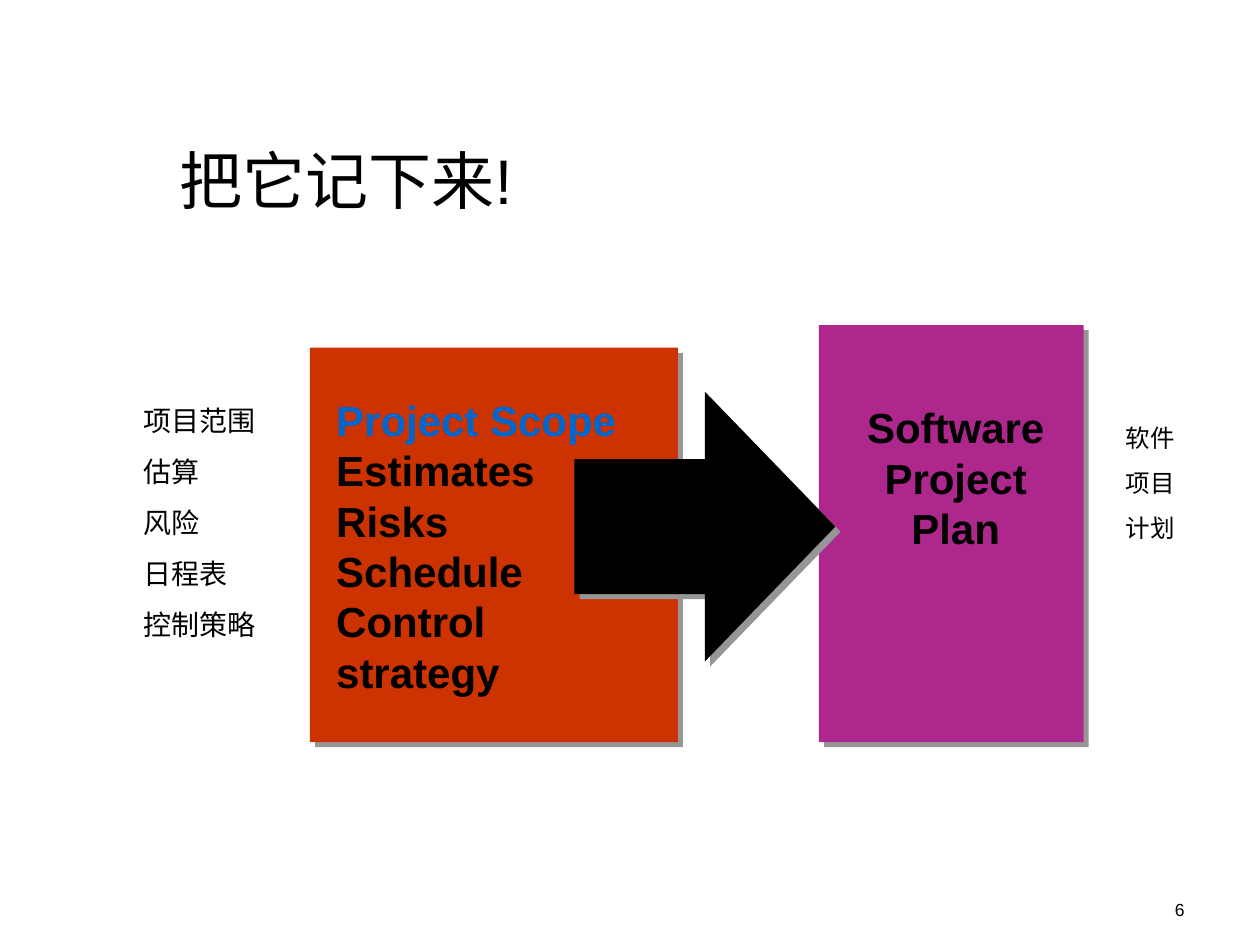
from dataclasses import dataclass

from lxml.etree import SubElement
from pptx import Presentation
from pptx.dml.color import RGBColor
from pptx.enum.shapes import MSO_SHAPE as Preset
from pptx.enum.text import MSO_ANCHOR as Anchor, MSO_AUTO_SIZE as AutoSize, PP_ALIGN as Align
from pptx.oxml.ns import qn
from pptx.util import Inches, Pt

BLACK = RGBColor(0x00, 0x00, 0x00)
BLUE = RGBColor(0x00, 0x66, 0xCC)
RED = RGBColor(0xCC, 0x33, 0x00)
PURPLE = RGBColor(0xAD, 0x27, 0x8D)
GREY = RGBColor(0x96, 0x96, 0x96)

WIDTH, HEIGHT = Inches(10), Inches(7.5)
COLUMNS, ROWS = 100, 75
SHADOW_DISTANCE = Pt(4.2)
SHADOW_ANGLE = 45 * 60000


@dataclass(frozen=True)
class Area:
    """A rectangle in columns and rows of the slide grid."""
    column: float
    row: float
    columns: float
    rows: float

    def lengths(self) -> tuple[int, int, int, int]:
        """Return left, top, width and height."""
        across, down = WIDTH / COLUMNS, HEIGHT / ROWS
        return (round(self.column * across), round(self.row * down),
                round(self.columns * across), round(self.rows * down))


@dataclass(frozen=True)
class Block:
    """A filled shape with a hard shadow."""
    area: Area
    color: RGBColor
    preset: Preset = Preset.RECTANGLE


@dataclass(frozen=True)
class Label:
    """A text box with one paragraph per line."""
    area: Area
    lines: tuple[str, ...]
    size: float
    align: Align = Align.LEFT
    bold: bool = False
    first_color: RGBColor = BLACK
    gap: float = 0
    padded: bool = True
    wrap: bool = True
    anchor: Anchor = Anchor.TOP
    fit: AutoSize = AutoSize.SHAPE_TO_FIT_TEXT


SCOPE_LINES = ("Project Scope", "Estimates", "Risks", "Schedule", "Control strategy")
SCOPE_LINES_CHINESE = ("项目范围", "估算", "风险", "日程表", "控制策略")
FIXED = {"anchor": Anchor.BOTTOM, "fit": AutoSize.NONE}
ENGLISH = {"size": 24, "bold": True, "wrap": False}

ITEMS = (
    Label(Area(71.7, 68.3, 23.3, 5.2), ("6",), 10, Align.RIGHT, **FIXED),
    Label(Area(13.3, 10.8, 55.9, 6.9), ("把它记下来!",), 36, **FIXED),
    Block(Area(65, 25.8, 21, 33.1), PURPLE),
    Label(Area(67.8, 31.4, 16.1, 13), ("Software", "Project", "Plan"),
          align=Align.CENTER, **ENGLISH),
    Block(Area(24.6, 27.6, 29.2, 31.3), RED),
    Label(Area(25.7, 30.8, 27.7, 21), SCOPE_LINES, first_color=BLUE, **ENGLISH),
    Block(Area(45.6, 31.1, 20.7, 21.4), BLACK, Preset.RIGHT_ARROW),
    Label(Area(11.4, 32, 11.8, 18.9), SCOPE_LINES_CHINESE, 16, gap=10, padded=False),
    Label(Area(85.4, 33.6, 11.8, 9.4), ("软件", "项目", "计划"), 14,
          Align.CENTER, gap=8.8, padded=False),
)


def set_attributes(target: object, values: dict) -> None:
    """Set every named value on the target."""
    for name, value in values.items():
        setattr(target, name, value)


def draw_block(slide, block: Block) -> None:
    """Draw a filled shape and its shadow."""
    shape = slide.shapes.add_shape(block.preset, *block.area.lengths())
    shape.fill.solid()
    shape.fill.fore_color.rgb = block.color
    shape.line.fill.background()
    shape.shadow.inherit = False
    effects = shape._element.spPr.find(qn("a:effectLst"))
    shadow = SubElement(effects, qn("a:outerShdw"), dist=str(SHADOW_DISTANCE),
                        dir=str(SHADOW_ANGLE), algn="ctr", rotWithShape="0")
    SubElement(shadow, qn("a:srgbClr"), val=str(GREY))


def draw_label(slide, label: Label) -> None:
    """Draw a text box and its paragraphs."""
    frame = slide.shapes.add_textbox(*label.area.lengths()).text_frame
    side, end = (Inches(0.1), Inches(0.05)) if label.padded else (0, 0)
    set_attributes(frame, {
        "margin_left": side, "margin_right": side, "margin_top": end, "margin_bottom": end,
        "word_wrap": label.wrap, "vertical_anchor": label.anchor, "auto_size": label.fit,
    })
    for index, line in enumerate(label.lines):
        paragraph = frame.add_paragraph() if index else frame.paragraphs[0]
        paragraph.alignment = label.align
        if index and label.gap:
            paragraph.space_before = Pt(label.gap)
        run = paragraph.add_run()
        run.text = line
        set_attributes(run.font, {"name": "Arial", "size": Pt(label.size), "bold": label.bold})
        run.font.color.rgb = BLACK if index else label.first_color


def main() -> None:
    """Build and save the slide."""
    presentation = Presentation()
    set_attributes(presentation, {"slide_width": WIDTH, "slide_height": HEIGHT})
    slide = presentation.slides.add_slide(presentation.slide_layouts[6])
    for item in ITEMS:
        draw = draw_block if isinstance(item, Block) else draw_label
        draw(slide, item)
    presentation.save("out.pptx")


if __name__ == "__main__":
    main()
